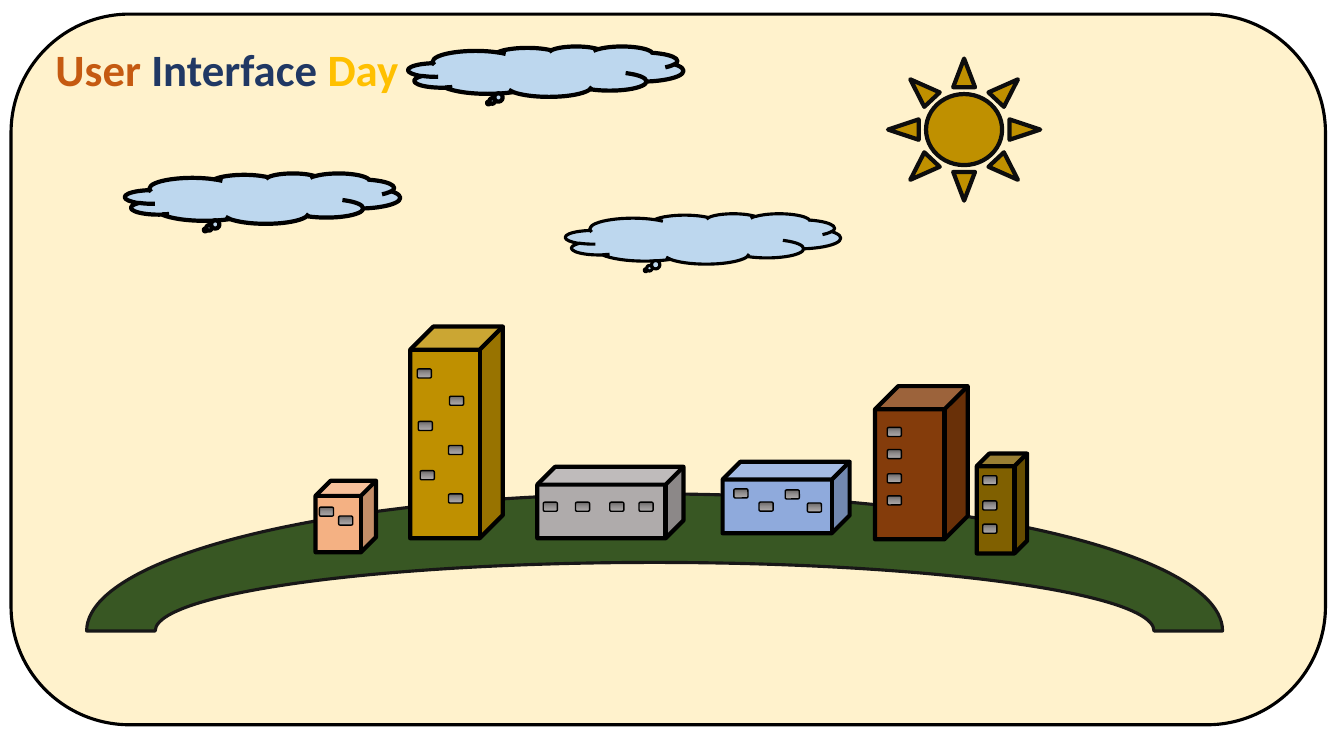
"""Builds the "User Interface Day" slide: a small town on a hill under a sunny sky."""
import copy

import pptx
import pptx.dml.color
import pptx.enum.shapes
import pptx.enum.text
import pptx.util

Pt = pptx.util.Pt
Color = pptx.dml.color.RGBColor.from_string
Kind = pptx.enum.shapes.MSO_SHAPE

THEME = {
    "font": "Calibri", "title": 32,
    "user": "C55A11", "inter": "203864", "day": "FFC000",
    "line": "000000", "panel": "FFF2CC", "cloud": "BDD7EE",
    "hill": "385723", "rim": "181717", "sun": "BF9000", "ray": "0D0D0D",
    "house": "F4B183", "kiosk": "806000", "block": "843C0B",
    "tower": "BF9000", "store": "AFABAB", "school": "8FAADC",
    "glass": ["686565", "939090", "AFABAB"],
}


def draw(kind, box, fill, line="line", width=3):
    """Add a preset shape; a list of colours gives a downward gradient."""
    shape = slide.shapes.add_shape(kind, *map(Pt, box))
    shape.shadow.inherit = False
    shape.line.color.rgb = Color(THEME[line])
    shape.line.width = Pt(width)
    tone = THEME[fill]
    if isinstance(tone, str):
        shape.fill.solid()
        shape.fill.fore_color.rgb = Color(tone)
        return shape
    shape.fill.gradient()
    shape.fill.gradient_angle = 270
    first = shape.element.find(".//" + pptx.oxml.ns.qn("a:gs"))
    first.addnext(copy.deepcopy(first))
    for rank, (stop, shade) in enumerate(zip(shape.fill.gradient_stops, tone)):
        stop.color.rgb = Color(shade)
        stop.position = rank / 2
    return shape


def write(text, para, size, color, bold=False):
    """Append one formatted run to a paragraph."""
    run = para.add_run()
    run.text = text
    run.font.name = THEME["font"]
    run.font.size = Pt(size)
    run.font.bold = bold
    run.font.color.rgb = Color(THEME[color])


deck = pptx.Presentation()
deck.slide_width, deck.slide_height = Pt(960), Pt(540)
slide = deck.slides.add_slide(deck.slide_layouts[5])

panel = draw(Kind.FLOWCHART_ALTERNATE_PROCESS, (7.9, 10.1, 938.9, 507.6), "panel", width=2.25)
title = slide.shapes.title
panel.element.addnext(title.element)
title.left, title.top, title.width, title.height = map(Pt, (32.4, 19.4, 828, 64.1))
title.text_frame.vertical_anchor = pptx.enum.text.MSO_ANCHOR.MIDDLE
para = title.text_frame.paragraphs[0]
para.alignment = pptx.enum.text.PP_ALIGN.LEFT
para.line_spacing = 0.9
for word, color in (("User ", "user"), ("Interface ", "inter"), ("Day", "day")):
    write(word, para, size=THEME["title"], color=color, bold=True)

draw(Kind.BLOCK_ARC, (61.9, 352.8, 811.4, 195.8), "hill", "rim", 2.25)
draw(Kind.SUN, (634.3, 41.8, 108.7, 101.5), "sun", "ray")
for left, top, width in ((89.3, 123.8, 3), (403.9, 152.6, 2.25), (291.6, 33.1, 3)):
    draw(Kind.CLOUD_CALLOUT, (left, top, 196.6, 36), "cloud", width=width)

town = (
    ("house", (225.4, 343.4, 43.2, 51.1), ((241.9, 368.6), (228.2, 362.2))),
    ("kiosk", (697.7, 324, 36, 71.3), [(702, y) for y in (339.8, 357.8, 374.4)]),
    ("block", (625, 275.8, 66.2, 109.4), [(633.8, y) for y in (305.3, 321.1, 338.4, 354.2)]),
    ("tower", (293, 233.3, 66.2, 151.2),
     ((298.1, 263.5), (321.1, 283), (298.8, 301), (320.4, 318.2), (300.2, 336.2), (320.4, 352.8))),
    ("store", (383.8, 333.4, 104.4, 51.1), [(x, 358.7) for x in (388.1, 411.1, 435.6, 456.5)]),
    ("school", (516.2, 329.8, 90.7, 51.1),
     ((524.2, 349.2), (542.2, 358.6), (560.9, 349.9), (576.7, 359.3))),
)
for name, box, panes in town:
    draw(Kind.CUBE, box, name)
    for left, top in panes:
        draw(Kind.FLOWCHART_ALTERNATE_PROCESS, (left, top, 10.1, 6.5), "glass", width=1)

deck.save("out.pptx")
